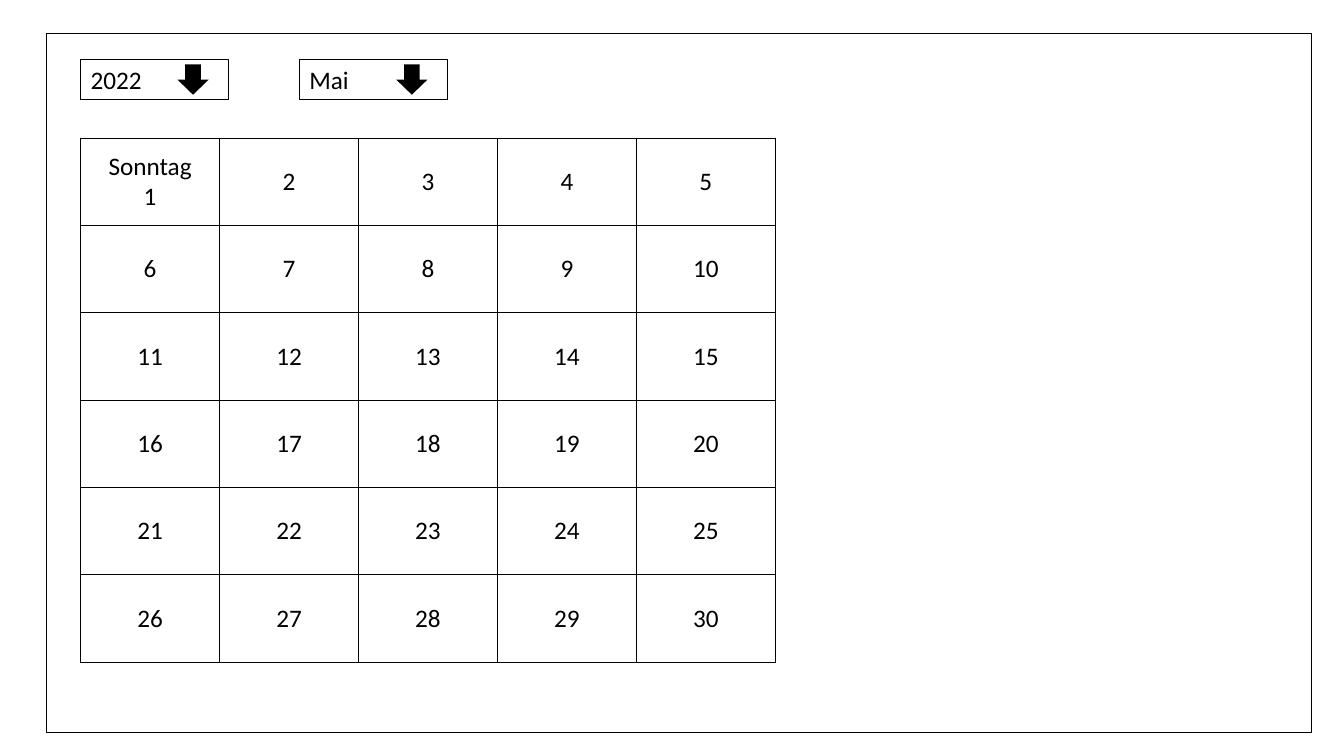
from lxml.etree import SubElement
from pptx import Presentation
from pptx.dml.color import RGBColor
from pptx.enum.shapes import MSO_SHAPE
from pptx.enum.text import MSO_ANCHOR, PP_ALIGN
from pptx.oxml.ns import qn
from pptx.util import Inches, Pt

BLACK = "000000"


def rgb(value):
    return RGBColor.from_string(value)


class Calendar:
    font = "Calibri"
    size = Pt(18)
    line = Pt(1)

    def __init__(self, slide):
        self.slide = slide

    def text(self, tf, text, align):
        tf.text = text
        for p in tf.paragraphs:
            p.alignment = align
            p.font.name = self.font
            p.font.size = self.size
            p.font.color.rgb = rgb(BLACK)

    def shape(self, shapes, kind, x, y, w, h, fill=None):
        sp = shapes.add_shape(kind, Inches(x), Inches(y), Inches(w), Inches(h))
        sp.shadow.inherit = False
        if fill:
            sp.fill.solid()
            sp.fill.fore_color.rgb = rgb(fill)
            sp.line.fill.background()
        else:
            sp.fill.background()
            sp.line.color.rgb = rgb(BLACK)
            sp.line.width = self.line
        return sp

    def frame(self, x, y, w, h):
        self.shape(self.slide.shapes, MSO_SHAPE.RECTANGLE, x, y, w, h)

    def dropdown(self, text, x, y):
        shapes = self.slide.shapes.add_group_shape().shapes
        box = self.shape(shapes, MSO_SHAPE.RECTANGLE, x, y, 1.47, 0.4)
        box.text_frame.vertical_anchor = MSO_ANCHOR.MIDDLE
        self.text(box.text_frame, text, PP_ALIGN.LEFT)
        self.shape(shapes, MSO_SHAPE.DOWN_ARROW, x + 0.96, y + 0.05, 0.31, 0.3, BLACK)

    def borders(self, cell):
        tc_pr = cell._tc.get_or_add_tcPr()
        for i, side in enumerate(("lnL", "lnR", "lnT", "lnB")):
            ln = SubElement(tc_pr, qn(f"a:{side}"), w=str(self.line))
            fill = SubElement(ln, qn("a:solidFill"))
            SubElement(fill, qn("a:srgbClr"), val=BLACK)
            tc_pr.insert(i, ln)

    def days(self, labels, cols, x, y, w, h):
        rows = len(labels) // cols
        table = self.slide.shapes.add_table(
            rows, cols, Inches(x), Inches(y), Inches(w), Inches(h)).table
        table.first_row = False
        table.horz_banding = False
        for cell, label in zip(table.iter_cells(), labels):
            cell.fill.background()
            cell.vertical_anchor = MSO_ANCHOR.MIDDLE
            self.text(cell.text_frame, label, PP_ALIGN.CENTER)
            self.borders(cell)


prs = Presentation()
prs.slide_width = Inches(13.33)
prs.slide_height = Inches(7.5)
calendar = Calendar(prs.slides.add_slide(prs.slide_layouts[6]))

calendar.frame(0.46, 0.33, 12.55, 6.94)
calendar.dropdown("2022", 0.8, 0.59)
calendar.dropdown("Mai", 2.97, 0.59)
labels = ["Sonntag\n1"] + [str(day) for day in range(2, 31)]
calendar.days(labels, 5, 0.8, 1.37, 6.89, 5.2)

prs.save("out.pptx")
